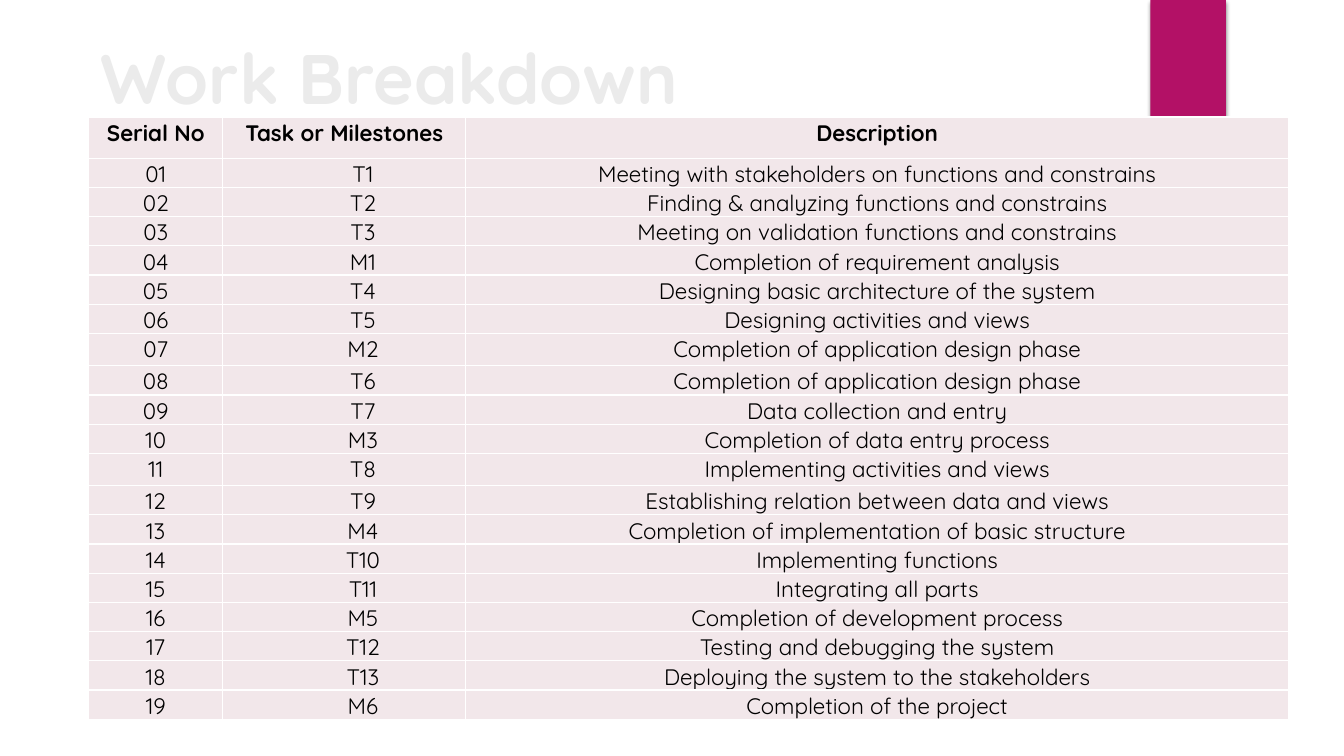
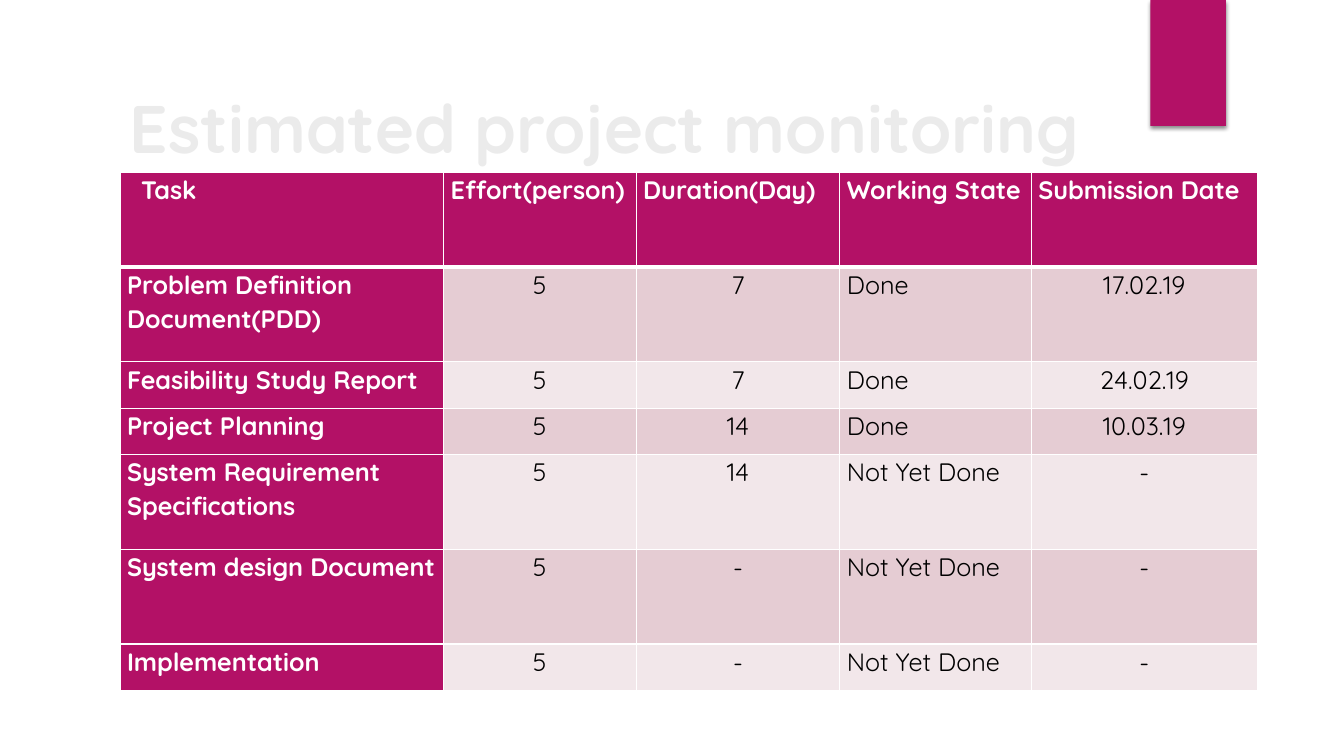
from collections import namedtuple

from lxml.etree import SubElement
from pptx import Presentation
from pptx.dml.color import RGBColor
from pptx.enum.shapes import MSO_SHAPE as Shape
from pptx.enum.text import MSO_ANCHOR as Anchor, PP_ALIGN as Align
from pptx.oxml.ns import qn
from pptx.util import Pt

EMU_PER_PX = 9144  # 100 px to the inch
FONT = "Quicksand"
MAGENTA, ROSE, BLUSH = "B31166", "E5CCD3", "F2E7EA"
WHITE, BLACK, PALE_GREY = "FFFFFF", "000000", "EBEBEB"
CELL_INSET = 7

Box = namedtuple("Box", "left top width height")
TextStyle = namedtuple("TextStyle", "size color bold")

MILESTONES = [
    ("T1", "Meeting with stakeholders on functions and constrains"),
    ("T2", "Finding & analyzing functions and constrains"),
    ("T3", "Meeting on validation functions and constrains"),
    ("M1", "Completion of requirement analysis"),
    ("T4", "Designing basic architecture of the system"),
    ("T5", "Designing activities and views"),
    ("M2", "Completion of application design phase"),
    ("T6", "Completion of application design phase"),
    ("T7", "Data collection and entry"),
    ("M3", "Completion of data entry process"),
    ("T8", "Implementing activities and views"),
    ("T9", "Establishing relation between data and views"),
    ("M4", "Completion of implementation of basic structure"),
    ("T10", "Implementing functions"),
    ("T11", "Integrating all parts"),
    ("M5", "Completion of development process"),
    ("T12", "Testing and debugging the system"),
    ("T13", "Deploying the system to the stakeholders"),
    ("M6", "Completion of the project"),
]

MONITORING = [
    ("Task", "Effort(person)", "Duration(Day)", "Working State", "Submission Date"),
    ("Problem Definition Document(PDD)", "5", "7", "Done", "17.02.19"),
    ("Feasibility Study Report", "5", "7", "Done", "24.02.19"),
    ("Project Planning", "5", "14", "Done", "10.03.19"),
    ("System Requirement Specifications", "5", "14", "Not Yet Done", "-"),
    ("System design Document", "5", "-", "Not Yet Done", "-"),
    ("Implementation", "5", "-", "Not Yet Done", "-"),
]


def px(length):
    return length * EMU_PER_PX


def rgb(color):
    return RGBColor.from_string(color)


def add_span(para, text, style):
    span = para.add_run()
    span.text = text
    span.font.name = FONT
    span.font.size = Pt(style.size)
    span.font.bold = style.bold
    span.font.color.rgb = rgb(style.color)


def add_shadow(shape):
    """Give the shape a soft shadow that falls straight down."""
    effects = SubElement(shape._element.spPr, qn("a:effectLst"))
    shadow = SubElement(effects, qn("a:outerShdw"), blurRad=str(Pt(3)),
                        dist=str(Pt(2)), dir="5400000", rotWithShape="0")
    color = SubElement(shadow, qn("a:srgbClr"), val=BLACK)
    SubElement(color, qn("a:alpha"), val="45000")


def add_ribbon(page, box):
    ribbon = page.shapes.add_shape(Shape.RECTANGLE, *map(px, box))
    ribbon.fill.solid()
    ribbon.fill.fore_color.rgb = rgb(MAGENTA)
    ribbon.line.fill.background()
    add_shadow(ribbon)


def add_title(page, box, text, size):
    frame = page.shapes.add_textbox(*map(px, box)).text_frame
    frame.word_wrap = True
    frame.vertical_anchor = Anchor.BOTTOM
    add_span(frame.paragraphs[0], text, TextStyle(size, PALE_GREY, True))


def add_page(deck, title, title_box, title_size):
    """Add a slide with the shared ribbon and title style."""
    page = deck.slides.add_slide(deck.slide_layouts[6])
    add_ribbon(page, Box(1141, 0, 75, 125))
    add_title(page, title_box, title, title_size)
    return page


def set_borders(cell, top=1, bottom=1):
    props = cell._tc.get_or_add_tcPr()
    for side, width in (("L", 1), ("R", 1), ("T", top), ("B", bottom)):
        line = SubElement(props, qn(f"a:ln{side}"), w=str(Pt(width)))
        fill = SubElement(line, qn("a:solidFill"))
        SubElement(fill, qn("a:srgbClr"), val=WHITE)


def add_grid(page, left, top, widths, heights):
    """Add an unfilled table whose tracks have the given sizes."""
    grid = page.shapes.add_table(
        len(heights), len(widths), px(left), px(top),
        px(sum(widths)), px(sum(heights))).table
    grid.horz_banding = False
    for column, width in zip(grid.columns, widths):
        column.width = px(width)
    for row, height in zip(grid.rows, heights):
        row.height = px(height)
    return grid


def fill_cell(cell, text, style, fill, align, indent=0, space_after=0):
    cell.margin_left, cell.margin_right = px(CELL_INSET + indent), px(CELL_INSET)
    cell.margin_top = cell.margin_bottom = 0
    cell.fill.solid()
    cell.fill.fore_color.rgb = rgb(fill)
    para = cell.text_frame.paragraphs[0]
    para.alignment = align
    para.line_spacing = 1.07
    para.space_after = Pt(space_after)
    add_span(para, text, style)


def add_work_table(page, left, top):
    rows = [("Serial No", "Task or Milestones", "Description")]
    rows += [(f"{number:02}", *entry) for number, entry in enumerate(MILESTONES, 1)]
    heights = [41] + [32 if number in (7, 11) else 29
                      for number in range(1, len(rows))]
    grid = add_grid(page, left, top, [133, 241, 816], heights)
    for r, row in enumerate(rows):
        for c, text in enumerate(row):
            cell = grid.cell(r, c)
            set_borders(cell)
            fill_cell(cell, text, TextStyle(16, BLACK, r == 0), BLUSH, Align.CENTER,
                      indent=37 if r and c == 1 else 0, space_after=8)


def add_monitoring_table(page, left, top):
    short, tall = 46, 94
    heights = [tall, tall, short, short, tall, tall, short]
    grid = add_grid(page, left, top, [321, 191, 202, 190, 224], heights)
    grid.first_col = True
    state_column = 3
    for r, row in enumerate(MONITORING):
        for c, text in enumerate(row):
            cell = grid.cell(r, c)
            heading = r == 0 or c == 0
            band = ROSE if r % 2 else BLUSH
            set_borders(cell, top=3 if r == 1 else 1, bottom=3 if r == 0 else 1)
            fill_cell(cell, text,
                      TextStyle(18, WHITE if heading else BLACK, heading),
                      MAGENTA if heading else band,
                      Align.LEFT if heading or c == state_column else Align.CENTER,
                      indent=14 if r == c == 0 else 0)


def build_work_breakdown(deck):
    page = add_page(deck, "Work Breakdown", Box(90, 43, 1190, 79), 50)
    add_work_table(page, 88, 116)


def build_monitoring(deck):
    page = add_page(deck, "Estimated project monitoring",
                    Box(119, 27, 1075, 144), 48)
    add_monitoring_table(page, 119, 171)


def main():
    deck = Presentation()
    deck.slide_width, deck.slide_height = px(1333), px(750)
    build_work_breakdown(deck)
    build_monitoring(deck)
    deck.save("out.pptx")


if __name__ == "__main__":
    main()
